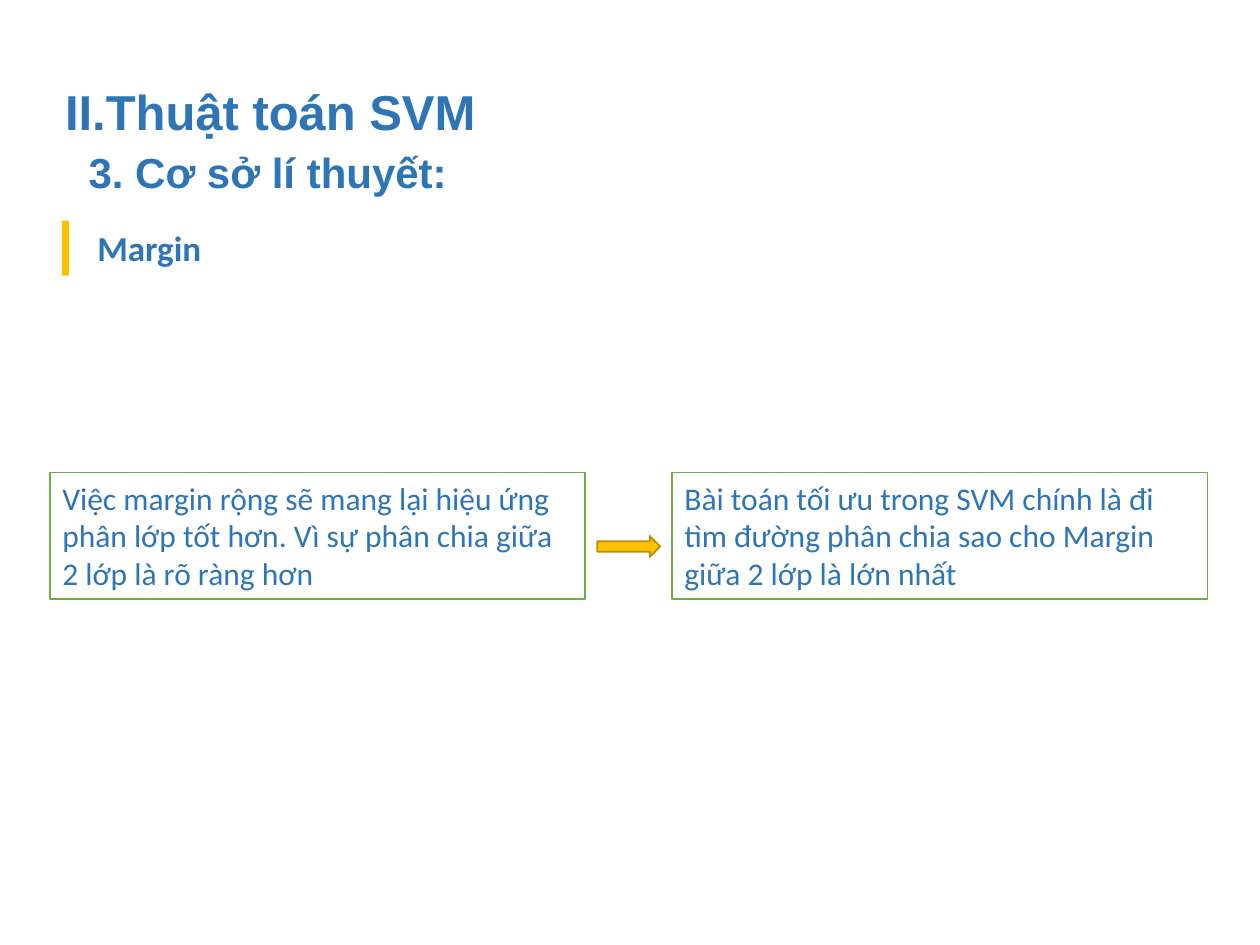
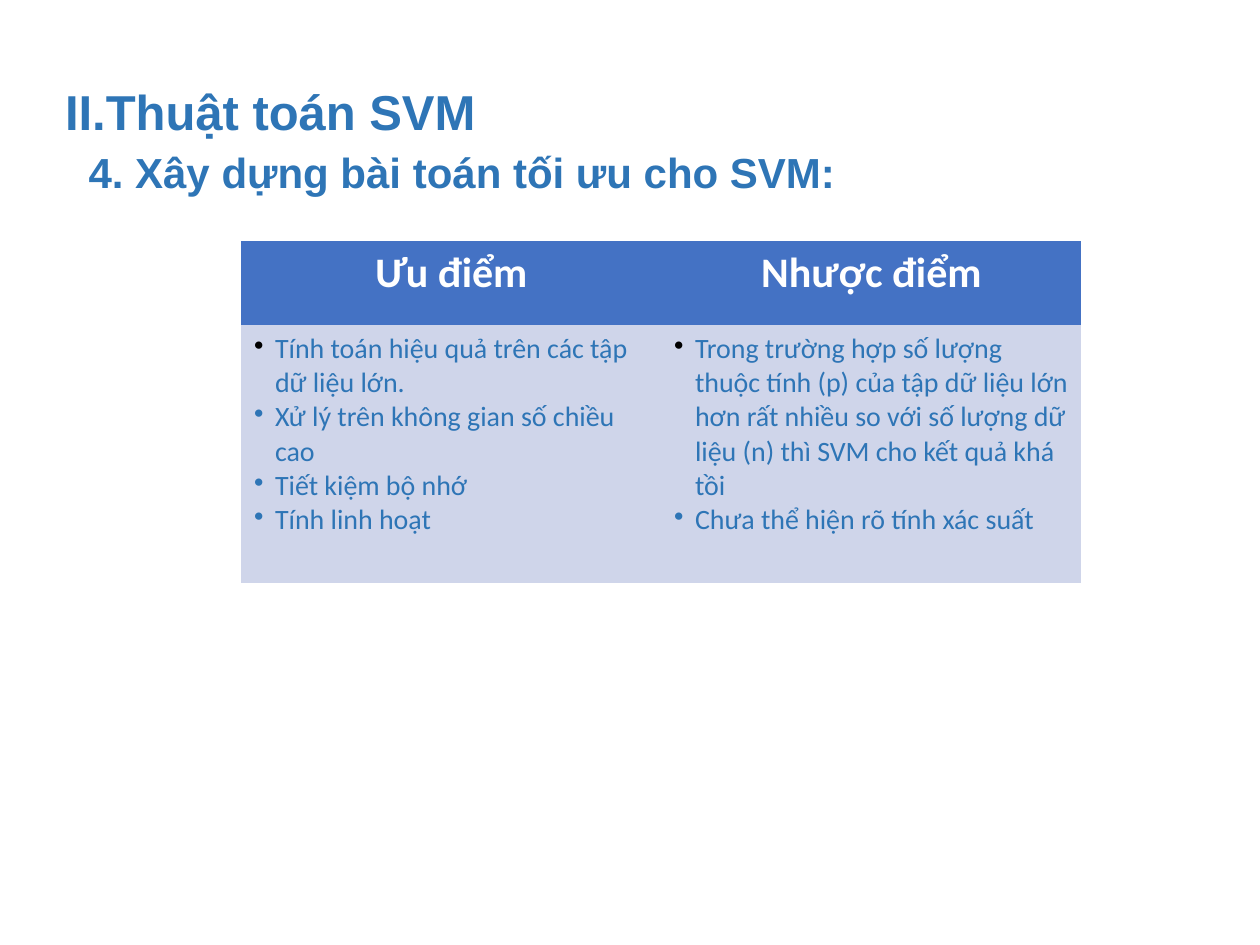
from collections import namedtuple
from dataclasses import dataclass

from lxml.etree import SubElement
from pptx import Presentation
from pptx.dml.color import RGBColor
from pptx.enum.shapes import MSO_SHAPE
from pptx.enum.text import MSO_ANCHOR, MSO_AUTO_SIZE, PP_ALIGN
from pptx.oxml.ns import qn
from pptx.util import Pt

Box = namedtuple("Box", "left top width height")


@dataclass(frozen=True)
class Theme:
    blue: str = "2E75B6"
    gold: str = "FFC000"
    dark_gold: str = "BD8E00"
    green: str = "70AD47"
    white: str = "FFFFFF"
    black: str = "000000"
    table_header: str = "4472C4"
    table_body: str = "CFD5EA"
    heading_font: str = "Arial"
    body_font: str = "Calibri"
    section_size: int = 28
    topic_size: int = 24
    label_size: int = 20
    statement_size: int = 18
    list_size: int = 16
    bullet_indent: int = 12
    plain_table_style: str = "{2D5ABB26-0587-4C30-8999-92F81FD0307C}"


THEME = Theme()
SECTION = "II.Thuật toán SVM"
TITLE_BOX = Box(30, 18, 648, 108)


# Shared helpers
def in_points(box):
    return [Pt(length) for length in box]


def apply_format(target, values):
    for name, value in values.items():
        setattr(target, name, value)


def write(paragraph, text, size, color=THEME.blue, font=THEME.body_font, bold=False):
    run = paragraph.add_run()
    run.text = text
    apply_format(run.font, {"size": Pt(size), "name": font, "bold": bold})
    run.font.color.rgb = RGBColor.from_string(color)


def add_filled_shape(slide, kind, box, fill, line=None):
    shape = slide.shapes.add_shape(kind, *in_points(box))
    shape.shadow.inherit = False
    shape.fill.solid()
    shape.fill.fore_color.rgb = RGBColor.from_string(fill)
    if line:
        shape.line.color.rgb = RGBColor.from_string(line)
        shape.line.width = Pt(1)
    else:
        shape.line.fill.background()
    return shape


def add_bullet(paragraph, color):
    properties = paragraph._p.get_or_add_pPr()
    properties.set("marL", str(Pt(THEME.bullet_indent)))
    properties.set("indent", str(-Pt(THEME.bullet_indent)))
    bullet_color = SubElement(properties, qn("a:buClr"))
    SubElement(bullet_color, qn("a:srgbClr"), val=color)
    SubElement(properties, qn("a:buChar"), char="•")


# Slide with the section heading and its topic
def add_topic_slide(presentation, topic, box=TITLE_BOX):
    slide = presentation.slides.add_slide(presentation.slide_layouts[5])
    title = slide.shapes.title
    apply_format(title, dict(zip(Box._fields, in_points(box))))
    frame = title.text_frame
    apply_format(frame, {
        "vertical_anchor": MSO_ANCHOR.TOP,
        "auto_size": MSO_AUTO_SIZE.NONE,
        "margin_top": Pt(32.4),
    })
    lines = (
        (frame.paragraphs[0], SECTION, THEME.section_size, 0, 0),
        (frame.add_paragraph(), topic, THEME.topic_size, 6.5, 13.4),
    )
    for paragraph, text, size, space, indent in lines:
        apply_format(paragraph, {
            "alignment": PP_ALIGN.LEFT,
            "line_spacing": 0.9,
            "space_before": Pt(space),
        })
        paragraph._p.get_or_add_pPr().set("marL", str(Pt(indent)))
        write(paragraph, text, size, font=THEME.heading_font, bold=True)
    return slide


# Label with a gold bar on its left
def add_label(slide, box, text):
    bar_width, gap = 4, 9
    add_filled_shape(slide, MSO_SHAPE.RECTANGLE,
                     box._replace(width=bar_width), THEME.gold)
    text_left = bar_width + gap
    text_box = slide.shapes.add_textbox(*in_points(
        box._replace(left=box.left + text_left, width=box.width - text_left)))
    text_box.text_frame.word_wrap = True
    write(text_box.text_frame.paragraphs[0], text, THEME.label_size, bold=True)


# Two framed statements joined by a block arrow
def add_conclusion(slide, box, reason, result):
    statement_width = 306
    right_left = box.left + box.width - statement_width
    for left, text in ((box.left, reason), (right_left, result)):
        statement = add_filled_shape(
            slide, MSO_SHAPE.RECTANGLE,
            box._replace(left=left, width=statement_width), THEME.white, THEME.green)
        frame = statement.text_frame
        apply_format(frame, {"word_wrap": True, "vertical_anchor": MSO_ANCHOR.TOP})
        paragraph = frame.paragraphs[0]
        paragraph.alignment = PP_ALIGN.LEFT
        write(paragraph, text, THEME.statement_size)
    arrow_width, arrow_height = 36, 12
    arrow_left = box.left + (box.width - arrow_width) / 2
    add_filled_shape(slide, MSO_SHAPE.RIGHT_ARROW,
                     Box(arrow_left, box.top + box.height / 2, arrow_width, arrow_height),
                     THEME.gold, THEME.dark_gold)


# Table with one bulleted list under each heading
def add_comparison(slide, box, lists):
    header_height = 48
    frame = slide.shapes.add_table(2, len(lists), *in_points(box))
    table = frame.table
    table._tbl.tblPr.find(qn("a:tableStyleId")).text = THEME.plain_table_style
    for row, height in zip(table.rows, (header_height, box.height - header_height)):
        row.height = Pt(height)
    for column, (heading, items) in enumerate(lists.items()):
        header, body = table.cell(0, column), table.cell(1, column)
        for cell, fill in ((header, THEME.table_header), (body, THEME.table_body)):
            cell.fill.solid()
            cell.fill.fore_color.rgb = RGBColor.from_string(fill)
        paragraph = header.text_frame.paragraphs[0]
        paragraph.alignment = PP_ALIGN.CENTER
        write(paragraph, heading, THEME.topic_size, THEME.white, bold=True)
        for number, item in enumerate(items):
            text_frame = body.text_frame
            paragraph = text_frame.add_paragraph() if number else text_frame.paragraphs[0]
            add_bullet(paragraph, THEME.blue if number else THEME.black)
            write(paragraph, item, THEME.list_size)


def main():
    presentation = Presentation()
    apply_format(presentation, {"slide_width": Pt(720), "slide_height": Pt(540)})

    # Theory: the margin
    theory = add_topic_slide(presentation, "3. Cơ sở lí thuyết:")
    add_label(theory, Box(35.5, 126, 120, 31.5), "Margin")
    add_conclusion(
        theory, Box(28.5, 270, 661.5, 72.5),
        "Việc margin rộng sẽ mang lại hiệu ứng phân lớp tốt hơn. "
        "Vì sự phân chia giữa 2 lớp là rõ ràng hơn",
        "Bài toán tối ưu trong SVM chính là đi tìm đường phân chia "
        "sao cho Margin giữa 2 lớp là lớn nhất")

    # Strengths and weaknesses
    optimisation = add_topic_slide(presentation, "4. Xây dựng bài toán tối ưu cho SVM:")
    add_comparison(optimisation, Box(138, 138, 480, 195), {
        "Ưu điểm": (
            "Tính toán hiệu quả trên các tập dữ liệu lớn.",
            "Xử lý trên không gian số chiều cao",
            "Tiết kiệm bộ nhớ",
            "Tính linh hoạt",
        ),
        "Nhược điểm": (
            "Trong trường hợp số lượng thuộc tính (p) của tập dữ liệu lớn hơn rất nhiều "
            "so với số lượng dữ liệu (n) thì SVM cho kết quả khá tồi",
            "Chưa thể hiện rõ tính xác suất",
        ),
    })
    presentation.save("out.pptx")


if __name__ == "__main__":
    main()
